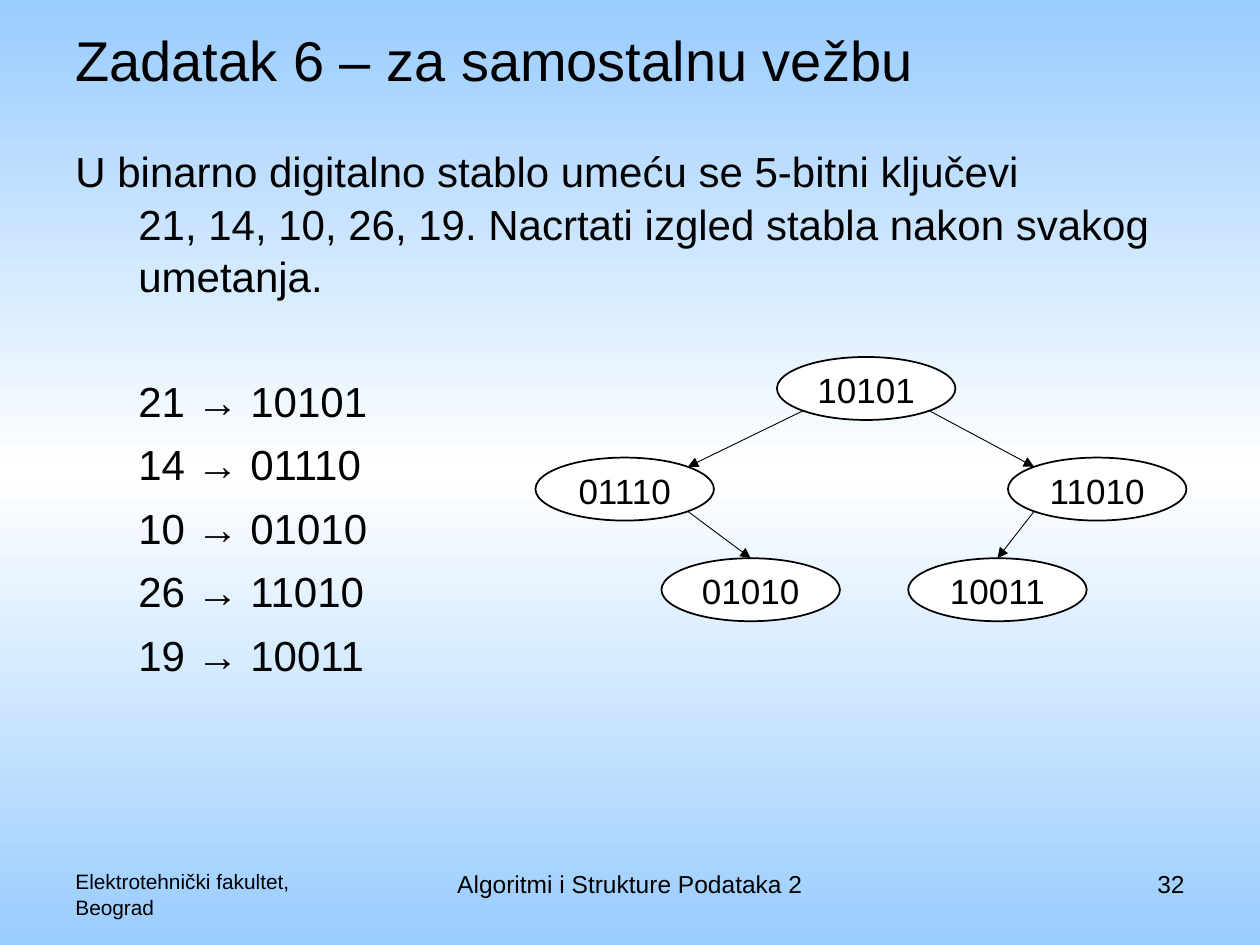
from copy import deepcopy
from math import sqrt
from pptx import Presentation
from pptx.dml.color import RGBColor
from pptx.enum.shapes import MSO_CONNECTOR as LINE, MSO_SHAPE as SHAPE
from pptx.enum.text import MSO_ANCHOR as ANCHOR, PP_ALIGN as ALIGN
from pptx.oxml.ns import qn
from pptx.oxml.xmlchemy import OxmlElement as Elem
from pptx.util import Pt

BLACK = RGBColor(0, 0, 0)
WHITE = RGBColor(255, 255, 255)
SKY = RGBColor(0x99, 0xCC, 0xFF)

deck = Presentation()
deck.slide_width, deck.slide_height = Pt(720), Pt(540)
slide = deck.slides.add_slide(deck.slide_layouts[6])
shapes = slide.shapes

# Background: sky, white, sky from top to bottom
fill = slide.background.fill
fill.gradient()
fill.gradient_angle = 270
stops = slide.element.find(".//" + qn("a:gsLst"))
stops.insert(1, deepcopy(stops[0]))
for stop, place, color in zip(fill.gradient_stops, (0, 0.5, 1), (SKY, WHITE, SKY)):
    stop.position = place
    stop.color.rgb = color


def write(para, text, size, align=ALIGN.LEFT):
    """Add the text to the paragraph, with a line break at each newline."""
    para.alignment = align
    para.line_spacing = 1.05
    for i, line in enumerate(text.split("\n")):
        if i:
            para.add_line_break()
        run = para.add_run()
        run.text = line
        run.font.name, run.font.size = "Arial", Pt(size)
        run.font.color.rgb = BLACK


def add_box(left, top, width, height):
    frame = shapes.add_textbox(Pt(left), Pt(top), Pt(width), Pt(height)).text_frame
    frame.word_wrap = True
    return frame


# Title
title = add_box(36, 12, 648, 42)
title.vertical_anchor = ANCHOR.MIDDLE
write(title.paragraphs[0], "Zadatak 6 – za samostalnu vežbu", 32)

# Task and the keys in binary
KEYS = [21, 14, 10, 26, 19]
body = add_box(36, 78, 648, 356)
task = body.paragraphs[0]
write(task, "U binarno digitalno stablo umeću se 5-bitni ključevi\n"
            "21, 14, 10, 26, 19. Nacrtati izgled stabla nakon svakog umetanja.", 24)
for i, key in enumerate(KEYS):
    para = body.add_paragraph()
    write(para, f"{key} → {key:05b}", 24)
    para.space_before = Pt(6 if i else 41)
for para in body.paragraphs:
    props = para._p.get_or_add_pPr()
    props.set("marL", str(Pt(36)))
    props.set("indent", str(Pt(-36) if para._p is task._p else 0))

# Footer
FOOT = [
    (36, 168, 11.9, ALIGN.LEFT, ["Elektrotehnički fakultet,", "Beograd"]),
    (246, 228, 14, ALIGN.CENTER, ["Algoritmi i Strukture Podataka 2"]),
    (516, 168, 14, ALIGN.RIGHT, ["32"]),
]
for left, width, size, align, lines in FOOT:
    foot = add_box(left, 492, width, 37.5)
    for i, line in enumerate(lines):
        para = foot.add_paragraph() if i else foot.paragraphs[0]
        write(para, line, size, align)

# Tree nodes: key, left edge, level
WIDE, HIGH, TOP, STEP = 102, 36, 204, 57.5
NODES = [(21, 444, 0), (14, 306, 1), (10, 378, 2), (26, 576, 1), (19, 519, 2)]
nodes = {}
for key, left, level in NODES:
    node = shapes.add_shape(SHAPE.OVAL, Pt(left), Pt(TOP + level * STEP), Pt(WIDE), Pt(HIGH))
    node.shadow.inherit = False
    node.fill.solid()
    node.fill.fore_color.rgb = WHITE
    node.line.color.rgb = BLACK
    node.line.width = Pt(1)
    node.text_frame.vertical_anchor = ANCHOR.MIDDLE
    write(node.text_frame.paragraphs[0], f"{key:05b}", 20, ALIGN.CENTER)
    nodes[key] = node

# Tree edges: parent, child, side of the parent (-1 left, 1 right), child is a leaf
EDGES = [(21, 14, -1, False), (21, 26, 1, False), (14, 10, 1, True), (26, 19, -1, True)]
dx, dy = (Pt(side / sqrt(8)) for side in (WIDE, HIGH))
for parent, child, side, leaf in EDGES:
    (x1, y1), (x2, y2) = ((n.left + n.width // 2, n.top + n.height // 2)
                          for n in (nodes[parent], nodes[child]))
    edge = shapes.add_connector(LINE.STRAIGHT, x1 + side * dx, y1 + dy,
                                x2 - side * dx, y2 - dy)
    if leaf:
        edge.end_connect(nodes[child], 0)
    edge.line.color.rgb = BLACK
    edge.line.width = Pt(0.5)
    head = Elem("a:tailEnd")
    head.set("type", "triangle")
    edge.line._get_or_add_ln().append(head)
    edge._element.spPr.append(Elem("a:effectLst"))

deck.save("out.pptx")
